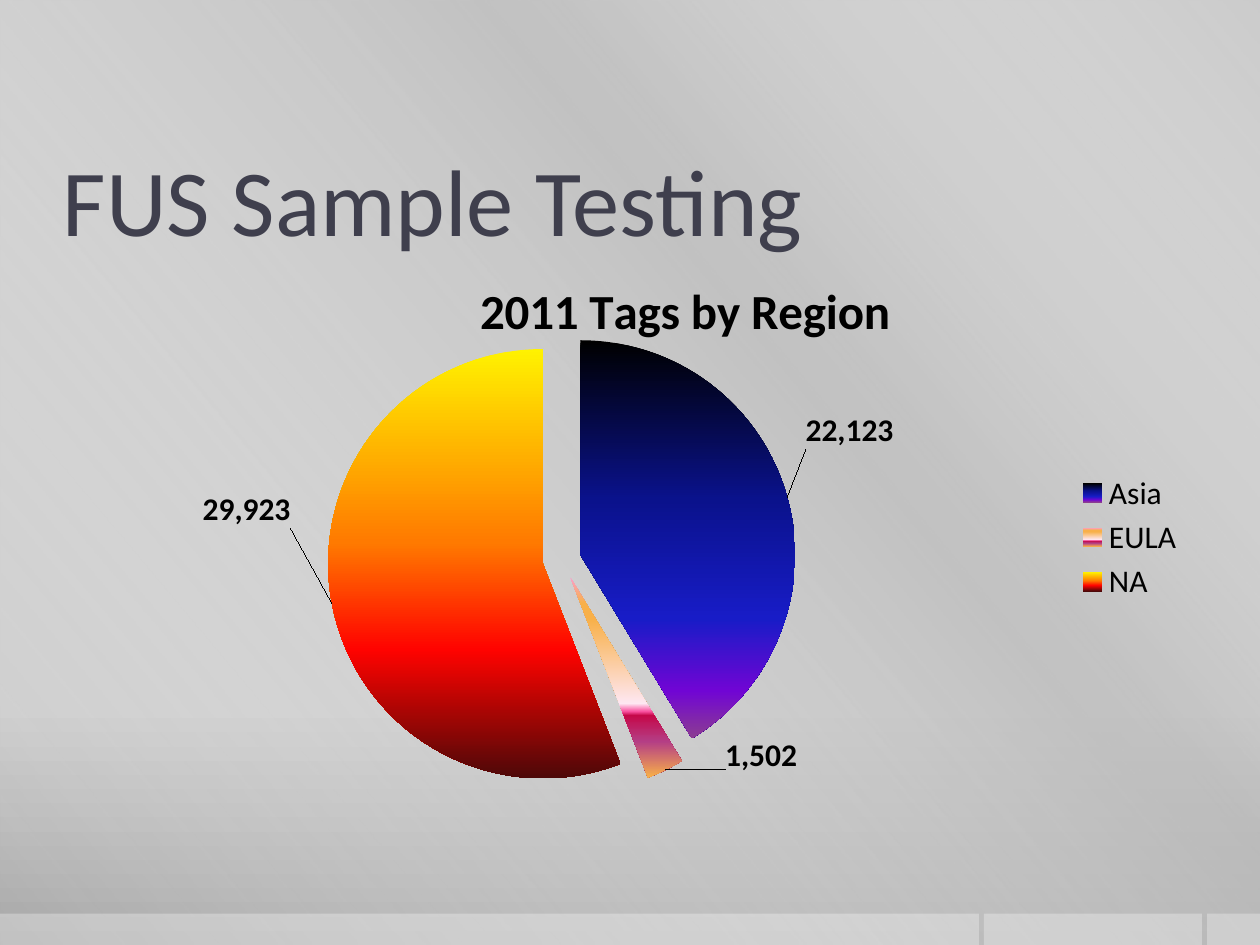
from lxml import etree
from pptx import Presentation
from pptx.chart.data import CategoryChartData
from pptx.dml.color import RGBColor
from pptx.enum.chart import XL_CHART_TYPE, XL_LABEL_POSITION, XL_LEGEND_POSITION
from pptx.enum.shapes import MSO_SHAPE
from pptx.enum.text import MSO_ANCHOR
from pptx.oxml.ns import qn
from pptx.util import Inches, Pt

PIE = XL_CHART_TYPE.PIE
OUTSIDE_END = XL_LABEL_POSITION.OUTSIDE_END
LEGEND_RIGHT = XL_LEGEND_POSITION.RIGHT
RECTANGLE = MSO_SHAPE.RECTANGLE
MIDDLE = MSO_ANCHOR.MIDDLE

FONT = "Calibri"
BLACK = RGBColor(0x00, 0x00, 0x00)
WHITE = RGBColor(0xFF, 0xFF, 0xFF)
TITLE_COLOR = RGBColor(0x3F, 0x3F, 0x4D)

# Gradient stops: position in percent, colour, optional opacity in percent
BACKGROUND = [(0, "CBCBCB"), (76, "C8C8C8"), (100, "A7A7A7")]
SHEEN = [(0, "FFFFFF", 0), (34, "BFBFBF", 61), (38, "BFBFBF", 76), (100, "FFFFFF", 0)]
NIGHT = [(0, "000000"), (40, "0A128C"), (70, "181CC7"), (88, "7005D4"), (100, "8C3D91")]
SUNSET = [(0, "FC9FCB"), (13, "F8B049"), (21, "F8B049"), (63, "FEE7F2"),
          (67, "F952A0"), (69, "C50849"), (82, "B43E85"), (100, "F8B049")]
FIRE = [(0, "FFF200"), (45, "FF7A00"), (70, "FF0300"), (100, "4D0808")]

# Region, tags, gradient, label offset as a share of the chart
REGIONS = [
    ("Asia", 22123, NIGHT, (0.01, -0.08)),
    ("EULA", 1502, SUNSET, (0.05, -0.07)),
    ("NA", 29923, FIRE, (-0.03, -0.2)),
]


def set_gradient(fill, stops, angle=90):
    fill.gradient()
    gradient = fill._xPr.find(qn("a:gradFill"))
    for child in list(gradient):
        gradient.remove(child)
    stop_list = etree.SubElement(gradient, qn("a:gsLst"))
    for position, color, *opacity in stops:
        stop = etree.SubElement(stop_list, qn("a:gs"), pos=str(position * 1000))
        color_node = etree.SubElement(stop, qn("a:srgbClr"), val=color)
        if opacity:
            etree.SubElement(color_node, qn("a:alpha"), val=str(opacity[0] * 1000))
    etree.SubElement(gradient, qn("a:lin"), ang=str(angle * 60000), scaled="0")


def add_panel(page, left, top, width, height):
    panel = page.shapes.add_shape(
        RECTANGLE, Inches(left), Inches(top), Inches(width), Inches(height))
    panel.shadow.inherit = False
    panel.line.fill.background()
    return panel


def add_footer_bar(page, left, width):
    bar = add_panel(page, left, 7.25, width, 0.25)
    bar.fill.solid()
    bar.fill.fore_color.rgb = WHITE
    color_node = bar.fill._xPr.find(qn("a:solidFill"))[0]
    etree.SubElement(color_node, qn("a:alpha"), val="30000")


def add_title(page, text):
    box = page.shapes.add_textbox(Inches(0.5), Inches(1.08), Inches(9), Inches(1))
    frame = box.text_frame
    frame.word_wrap = True
    frame.vertical_anchor = MIDDLE
    frame.margin_left = frame.margin_right = 0
    frame.text = text
    set_font(frame.paragraphs[0].runs[0].font, 54, TITLE_COLOR)


def set_font(font, size, color=BLACK, bold=False):
    font.name = FONT
    font.size = Pt(size)
    font.bold = bold
    font.color.rgb = color


def make_layout(**values):
    layout = etree.Element(qn("c:layout"))
    manual = etree.SubElement(layout, qn("c:manualLayout"))
    for name, value in values.items():
        etree.SubElement(manual, qn("c:" + name), val=str(value))
    return layout


def replace_layout(parent, index, layout):
    for old in parent.findall(qn("c:layout")):
        parent.remove(old)
    parent.insert(index, layout)


def style_slices(series):
    labels = series.data_labels
    labels.show_value = True
    labels.number_format = "#,##0"
    labels.number_format_is_linked = False
    set_font(labels.font, 18, bold=True)

    for index, (_, _, stops, (x, y)) in enumerate(REGIONS):
        point = series.points[index]
        set_gradient(point.format.fill, stops)
        label = point.data_label
        set_font(label.font, 18, bold=True)
        label.position = OUTSIDE_END
        label_node = labels._element.findall(qn("c:dLbl"))[index]
        replace_layout(label_node, 1, make_layout(x=x, y=y))

    # Pull the slices apart and join labels to them with leader lines
    explosion = etree.Element(qn("c:explosion"), val="9")
    series._element.find(qn("c:dPt")).addprevious(explosion)
    leader = labels._element.find(qn("c:showLeaderLines"))
    if leader is None:
        leader = etree.SubElement(labels._element, qn("c:showLeaderLines"))
    leader.set("val", "1")


def add_region_pie(page):
    data = CategoryChartData(number_format="#,##0")
    data.categories = [region[0] for region in REGIONS]
    data.add_series("Series 1", [region[1] for region in REGIONS])
    chart = page.shapes.add_chart(
        PIE, Inches(0.5), Inches(2), Inches(9), Inches(4.53), data).chart
    set_font(chart.font, 18)

    # Chart title and legend
    chart.has_title = True
    chart.chart_title.text_frame.text = "2011 Tags by Region"
    title_run = chart.chart_title.text_frame.paragraphs[0].runs[0]
    set_font(title_run.font, 28, bold=True)
    replace_layout(chart.chart_title._element, 1,
                   make_layout(xMode="edge", yMode="edge", x=0.36, y=0.03))
    chart.has_legend = True
    chart.legend.position = LEGEND_RIGHT
    chart.legend.include_in_layout = False

    # Plot area and slices
    plot = chart.plots[0]
    plot.vary_by_categories = True
    replace_layout(plot._element.getparent(), 0, make_layout(
        layoutTarget="inner", xMode="edge", yMode="edge",
        x=0.01, y=0.13, w=0.86, h=0.82))
    style_slices(plot.series[0])


def main():
    deck = Presentation()
    deck.slide_width, deck.slide_height = Inches(10), Inches(7.5)
    page = deck.slides.add_slide(deck.slide_layouts[6])

    # Backdrop
    set_gradient(page.background.fill, BACKGROUND)
    set_gradient(add_panel(page, 0, 0, 10, 7.5).fill, SHEEN, 140)
    for left, width in [(9.58, 0.42), (7.81, 1.73), (0, 7.77)]:
        add_footer_bar(page, left, width)

    # Content
    add_title(page, "FUS Sample Testing")
    add_region_pie(page)
    deck.save("out.pptx")


if __name__ == "__main__":
    main()
